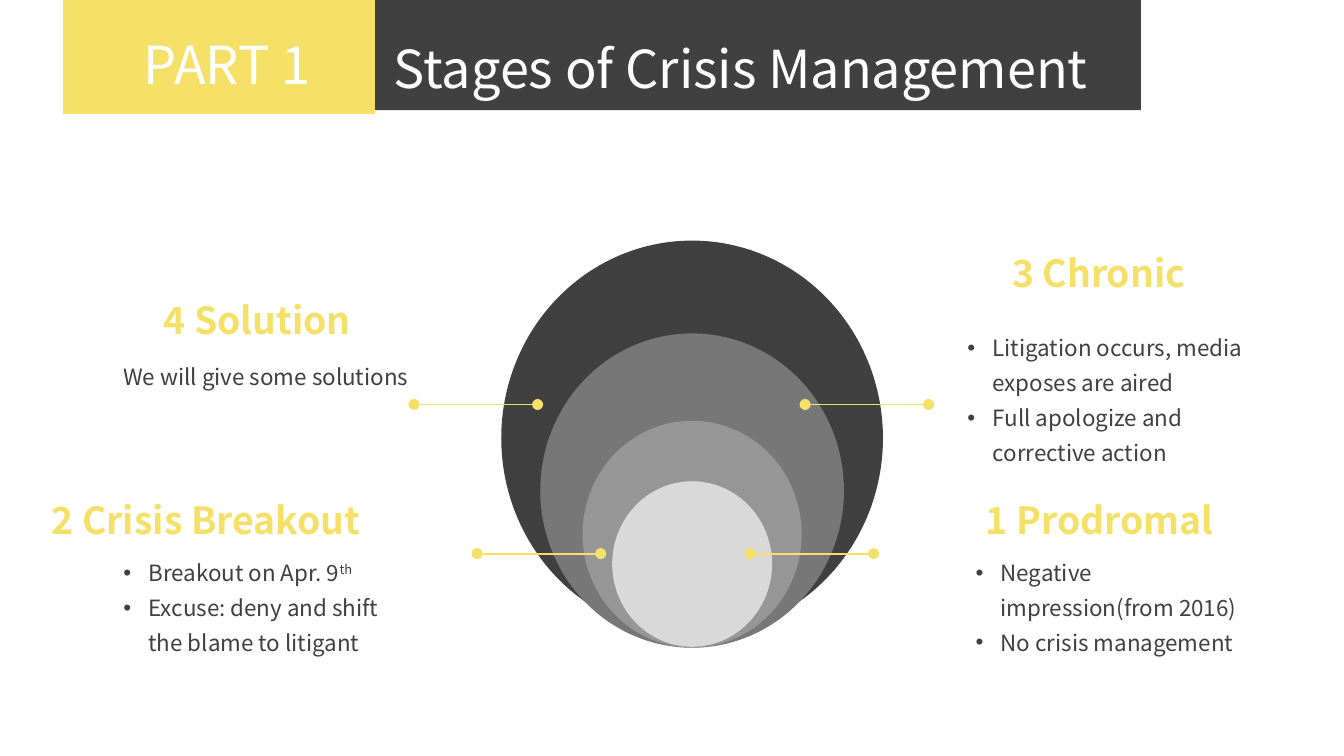
import dataclasses

import lxml.etree
import pptx
import pptx.dml.color
import pptx.enum.shapes
import pptx.enum.text
import pptx.oxml.ns
import pptx.util

Pt = pptx.util.Pt
Align = pptx.enum.text.PP_ALIGN
Shape = pptx.enum.shapes.MSO_SHAPE
qn = pptx.oxml.ns.qn


@dataclasses.dataclass(frozen=True)
class Theme:
    font: str = "Noto Sans CJK SC"
    yellow: str = "F5E168"
    dark: str = "404040"
    white: str = "FFFFFF"
    rings: tuple = ("404040", "777777", "969696", "D9D9D9")
    banner: int = 28
    heading: int = 20
    body: int = 12
    spacing: float = 1.3


THEME = Theme()


def rgb(color):
    return pptx.dml.color.RGBColor.from_string(color)


def add_filled(page, kind, area, color):
    shape = page.shapes.add_shape(kind, *map(Pt, area))
    shape.shadow.inherit = False
    shape.fill.solid()
    shape.fill.fore_color.rgb = rgb(color)
    shape.line.fill.background()


def add_bullet(para):
    properties = para._p.get_or_add_pPr()
    properties.set("marL", str(Pt(13.5)))
    properties.set("indent", str(Pt(-13.5)))
    lxml.etree.SubElement(properties, qn("a:buFont")).set("typeface", "Arial")
    lxml.etree.SubElement(properties, qn("a:buChar")).set("char", "•")


def style(para, size, color, bold=False, align=Align.LEFT, spacing=THEME.spacing):
    para.alignment = align
    para.line_spacing = spacing
    para.space_before = Pt(0)
    para.font.name = THEME.font
    para.font.size = Pt(size)
    para.font.bold = bold
    para.font.color.rgb = rgb(color)


def add_text(page, area, lines, size, color, wrap=True, bullets=False, **looks):
    box = page.shapes.add_textbox(*map(Pt, area))
    frame = box.text_frame
    frame.word_wrap = wrap
    for index, line in enumerate(lines):
        para = frame.paragraphs[0] if index == 0 else frame.add_paragraph()
        if bullets:
            add_bullet(para)
        text, _, raised = line.partition("^")
        para.add_run().text = text
        if raised:
            span = para.add_run()
            span.text = raised
            span._r.get_or_add_rPr().set("baseline", "30000")
        style(para, size, color, **looks)


def add_heading(page, area, text):
    add_text(page, area, [text], THEME.heading, THEME.yellow, wrap=False,
             bold=True, align=Align.RIGHT, spacing=1.0)


def add_title(page, area, text):
    title = page.shapes.title
    title.left, title.top, title.width, title.height = map(Pt, area)
    frame = title.text_frame
    frame.text = text
    frame.word_wrap = False
    frame.auto_size = pptx.enum.text.MSO_AUTO_SIZE.NONE
    frame.vertical_anchor = pptx.enum.text.MSO_ANCHOR.TOP
    style(frame.paragraphs[0], THEME.banner, THEME.white)
    page.shapes._spTree.append(title._element)


def add_rings(page):
    center = 370.8
    sizes = [(128.9, 204.5), (178.6, 162.7), (225.4, 117.4), (257.8, 85.7)]
    for (top, width), color in zip(sizes, THEME.rings):
        area = (center - width / 2, top, width, width * 1.035)
        add_filled(page, Shape.OVAL, area, color)


def add_pointer(page, left, y, length=66.2):
    line = page.shapes.add_connector(
        pptx.enum.shapes.MSO_CONNECTOR.STRAIGHT,
        Pt(left), Pt(y), Pt(left + length), Pt(y))
    line.line.width = Pt(1)
    line.line.color.rgb = rgb(THEME.yellow)
    outline = line.line._get_or_add_ln()
    for end in ("a:headEnd", "a:tailEnd"):
        lxml.etree.SubElement(outline, qn(end)).set("type", "oval")
    lxml.etree.SubElement(line._element.spPr, qn("a:effectLst"))


def main():
    deck = pptx.Presentation()
    deck.slide_width, deck.slide_height = Pt(720), Pt(405)
    page = deck.slides.add_slide(deck.slide_layouts[5])

    add_filled(page, Shape.RECTANGLE, (200.9, 0, 410.4, 59), THEME.dark)
    add_filled(page, Shape.RECTANGLE, (33.8, 0, 167.1, 61), THEME.yellow)
    add_text(page, (33.1, 3.6, 177.1, 46.8), ["PART 1"], THEME.banner,
             THEME.white, align=Align.CENTER)
    add_title(page, (203.8, 5.8, 407.5, 51.1), "Stages of Crisis Management")

    add_rings(page)
    upper, lower = 216.7, 296.6
    for left, y in [(255.6, lower), (431.3, upper), (401.8, lower), (221.8, upper)]:
        add_pointer(page, left, y)

    stages = [
        ("4 Solution", (72, 155.5, 123.1, 33.8), (59, 186.5, 185.8, 25.9),
         ["We will give some solutions"]),
        ("3 Chronic", (527, 130.3, 115.2, 33.8), (511.2, 171.4, 171.4, 82.8),
         ["Litigation occurs, media exposes are aired",
          "Full apologize and corrective action"]),
        ("2 Crisis Breakout", (7.2, 262.8, 193, 33.8), (59, 291.6, 171.4, 64.1),
         ["Breakout on Apr. 9^th",
          "Excuse: deny and shift the blame to litigant"]),
        ("1 Prodromal", (511.2, 262.8, 146.2, 33.8), (515.5, 291.6, 171.4, 64.1),
         ["Negative impression(from 2016)", "No crisis management"]),
    ]
    for heading, heading_area, body_area, lines in stages:
        add_text(page, body_area, lines, THEME.body, THEME.dark,
                 bullets=len(lines) > 1)
        add_heading(page, heading_area, heading)

    deck.save("out.pptx")


if __name__ == "__main__":
    main()
